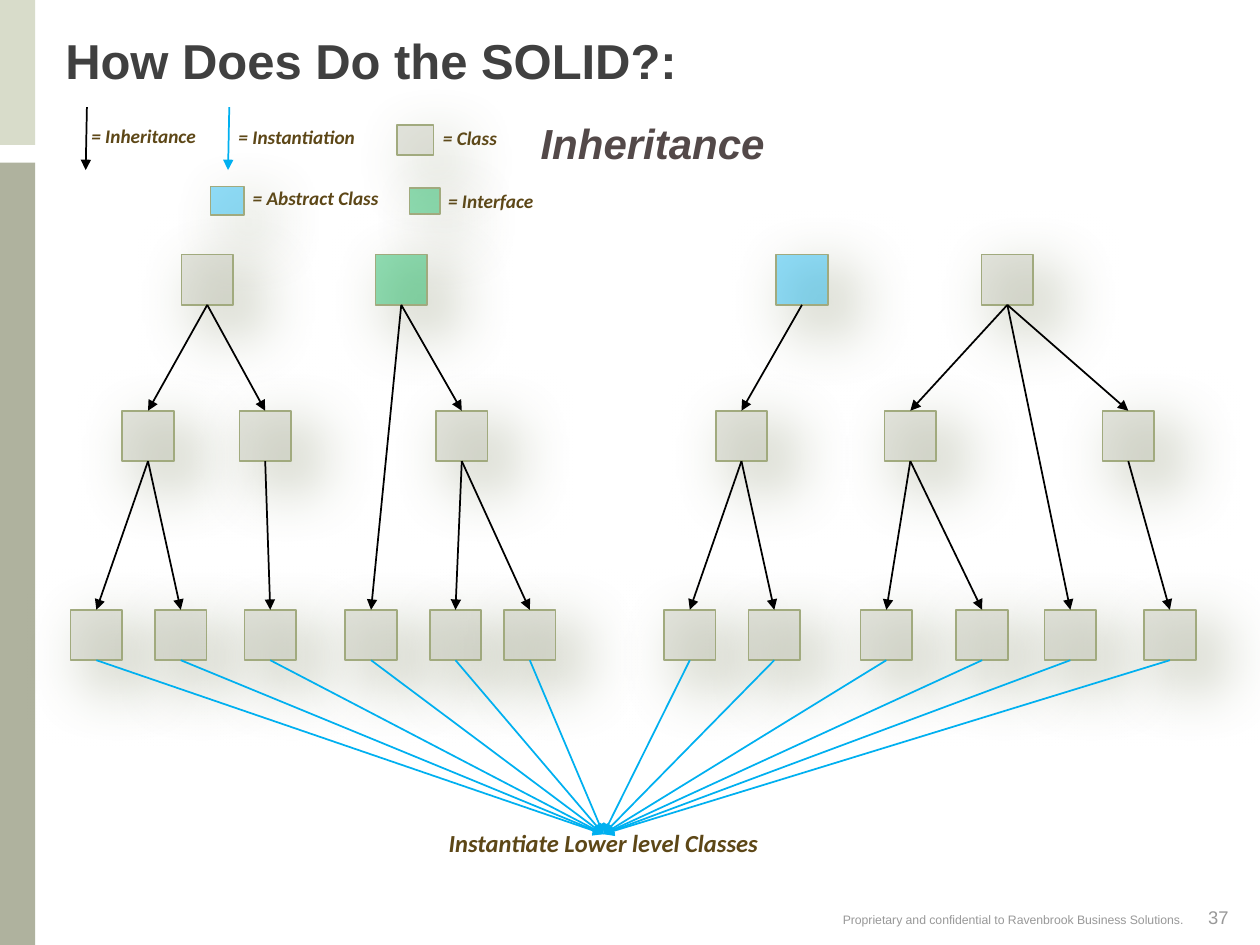
from lxml.etree import SubElement
from pptx import Presentation
from pptx.dml.color import RGBColor
from pptx.enum.shapes import MSO_CONNECTOR, MSO_SHAPE
from pptx.enum.text import MSO_ANCHOR, PP_ALIGN
from pptx.oxml import parse_xml
from pptx.oxml.ns import nsdecls, qn
from pptx.util import Inches, Pt

BLACK = RGBColor(0x00, 0x00, 0x00)
BLUE = RGBColor(0x00, 0xB0, 0xF0)
GREEN = RGBColor(0x00, 0xB0, 0x50)
GREY = RGBColor(0xBF, 0xC2, 0xB2)
OLIVE = RGBColor(0xA1, 0xAA, 0x7E)
BAR_LIGHT = RGBColor(0xCC, 0xD1, 0xB9)
BAR_DARK = RGBColor(0x95, 0x99, 0x7E)
TITLE = RGBColor(0x40, 0x40, 0x40)
SUBTITLE = RGBColor(0x53, 0x49, 0x49)
BROWN = RGBColor(0x5D, 0x47, 0x17)
FOOTER = RGBColor(0x98, 0x98, 0x98)


def shadow_xml(color, blur, dist, alpha):
    return parse_xml(
        f'<a:effectLst {nsdecls("a")}><a:outerShdw blurRad="{Pt(blur)}" dist="{Pt(dist)}" '
        f'dir="2700000" algn="tl" rotWithShape="0"><a:srgbClr val="{color}">'
        f'<a:alpha val="{alpha * 1000}"/></a:srgbClr></a:outerShdw></a:effectLst>')


prs = Presentation()
prs.slide_width, prs.slide_height = Inches(10), Inches(7.5)
s = prs.slides.add_slide(prs.slide_layouts[6])

# Texts: key, wording, box, alignment, font
label = {"size": Pt(11), "name": "Calibri", "bold": True, "italic": True}
small = {"name": "Arial"}
LEFT, CENTER, RIGHT = PP_ALIGN.LEFT, PP_ALIGN.CENTER, PP_ALIGN.RIGHT
texts = [
    ("How Does Do the SOLID?:", (0.42, 0.1, 9.23, 0.75), LEFT, TITLE,
     {"size": Pt(28), "name": "Arial", "bold": True}),
    ("37", (9.49, 7.14, 0.51, 0.34), LEFT, FOOTER, small | {"size": Pt(10.5)}),
    ("Proprietary and confidential to Ravenbrook Business Solutions.",
     (5.63, 7.19, 3.86, 0.31), RIGHT, FOOTER, small | {"size": Pt(7)}),
    ("Inheritance", (0.56, 0.88, 9.24, 0.44), CENTER, SUBTITLE,
     label | {"size": Pt(24), "name": "Arial"}),
    ("= Inheritance", (0.62, 0.98, 1.04, 0.25), CENTER, BROWN, label),
    ("= Instantiation", (1.78, 0.99, 1.15, 0.25), CENTER, BROWN, label),
    ("= Class", (3.41, 1, 0.64, 0.25), CENTER, BROWN, label),
    ("= Abstract Class", (1.9, 1.47, 1.21, 0.25), CENTER, BROWN, label),
    ("= Interface", (3.45, 1.5, 0.89, 0.25), CENTER, BROWN, label),
    ("Instantiate Lower level Classes", (3.45, 6.62, 2.68, 0.24), CENTER, BROWN,
     label | {"size": Pt(14)}),
]
boxes = {}
for text, box, align, color, font in texts:
    sp = s.shapes.add_textbox(*map(Inches, box))
    boxes[text] = sp
    tf = sp.text_frame
    tf.word_wrap = font["name"] == "Arial"
    p = tf.paragraphs[0]
    p.alignment = align
    if font["name"] == "Calibri":
        p.line_spacing = Pt(10)
    r = p.add_run()
    r.text = text
    r.font.color.rgb = color
    for key, value in font.items():
        setattr(r.font, key, value)
boxes["How Does Do the SOLID?:"].text_frame.vertical_anchor = MSO_ANCHOR.MIDDLE

# Soft shadow behind the subtitle
r = boxes["Inheritance"].text_frame.paragraphs[0].runs[0]
r.font.fill._xPr.find(qn("a:solidFill")).addnext(shadow_xml("000000", 4, 3, 43))

# Side bars
for top, height, color in [(0, 1.15, BAR_LIGHT), (1.29, 6.21, BAR_DARK)]:
    sp = s.shapes.add_shape(MSO_SHAPE.RECTANGLE, 0, Inches(top), Inches(0.28), Inches(height))
    sp.shadow.inherit = False
    sp.line.fill.background()
    sp.fill.solid()
    sp.fill.fore_color.rgb = color
    SubElement(sp.fill._xPr.find(qn("a:solidFill"))[0], qn("a:alpha"), val="75000")


def add_class(x, y, color, w=0.41, h=0.4):
    sp = s.shapes.add_shape(MSO_SHAPE.RECTANGLE, *map(Inches, (x, y, w, h)))
    sp.fill.solid()
    sp.fill.fore_color.rgb = color
    SubElement(sp.fill._xPr.find(qn("a:solidFill"))[0], qn("a:alpha"), val="43000")
    sp.line.color.rgb = OLIVE
    sp.line.width = Pt(1)
    sp._element.spPr.append(shadow_xml("6E774E", 38, 17, 43))
    return sp


# Legend swatches
add_class(3.15, 0.99, GREY, 0.29, 0.24)
add_class(1.67, 1.48, BLUE, 0.27, 0.23)
add_class(3.25, 1.49, GREEN, 0.24, 0.21)

# Class trees in three rows
tops = [add_class(x, 2.02, color) for x, color in
        [(1.44, GREY), (2.98, GREEN), (6.16, BLUE), (7.79, GREY)]]
mids = [add_class(x, 3.26, GREY) for x in (0.97, 1.9, 3.46, 5.68, 7.02, 8.75)]
leaves = [add_class(x, 4.84, GREY) for x in
          (0.56, 1.23, 1.94, 2.74, 3.41, 4, 5.27, 5.94, 6.83, 7.59, 8.29, 9.08)]

# Parent and child positions of each inheritance arrow
links = [
    (tops, mids, [(0, 0), (0, 1), (1, 2), (2, 3), (3, 4), (3, 5)]),
    (tops, leaves, [(1, 3), (3, 10)]),
    (mids, leaves, [(0, 0), (0, 1), (1, 2), (2, 4), (2, 5),
                    (3, 6), (3, 7), (4, 8), (4, 9), (5, 11)]),
]
arrows = [(parents[i], children[j], BLACK)
          for parents, children, pairs in links for i, j in pairs]
target = boxes["Instantiate Lower level Classes"]
arrows += [(leaf, target, BLUE) for leaf in leaves]

# Connectors: bottom centre of the parent to top centre of the child
lines = []
for parent, child, color in arrows:
    c = s.shapes.add_connector(MSO_CONNECTOR.STRAIGHT, 0, 0, 0, 0)
    c.begin_connect(parent, 2)
    c.end_connect(child, 0)
    lines.append((c, color))

# Legend arrows
for x, color in [(0.69, BLACK), (1.82, BLUE)]:
    ends = map(Inches, (x, 0.85, x - 0.01, 1.35))
    lines.append((s.shapes.add_connector(MSO_CONNECTOR.STRAIGHT, *ends), color))

for c, color in lines:
    c.line.color.rgb = color
    c.line.width = Pt(1)
    SubElement(c.line._get_or_add_ln(), qn("a:tailEnd"), type="triangle")
    SubElement(c._element.spPr, qn("a:effectLst"))

prs.save("out.pptx")
